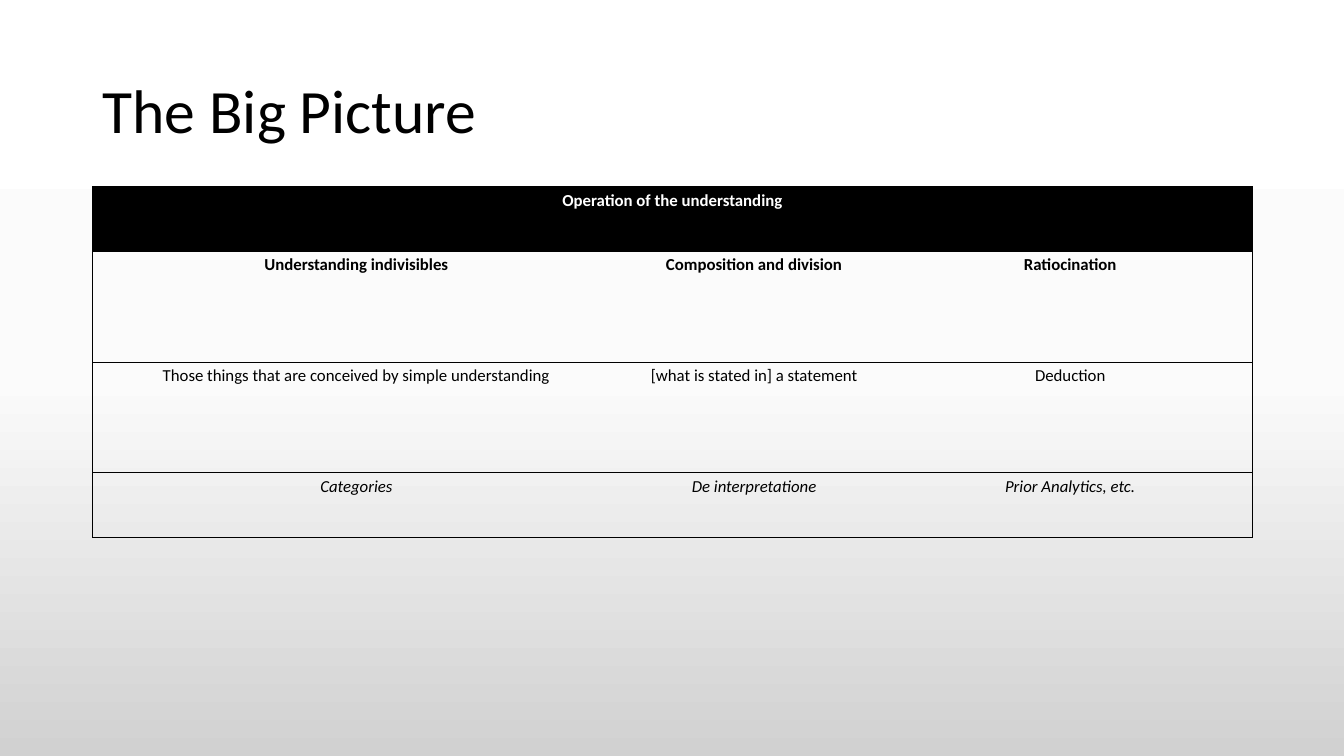
from copy import deepcopy
from dataclasses import dataclass

from lxml.etree import SubElement
from pptx import Presentation
from pptx.dml.color import RGBColor
from pptx.enum.text import MSO_ANCHOR, PP_ALIGN
from pptx.oxml.ns import qn
from pptx.util import Inches, Pt


@dataclass(frozen=True)
class Theme:
    font: str = "Calibri"
    black: str = "000000"
    white: str = "FFFFFF"
    background: tuple = ((0, "FFFFFF"), (0.5, "FBFBFB"), (1, "D1D1D1"))
    title_size: int = 44
    table_size: int = 12
    border_width: float = 0.5


THEME = Theme()
LEFT, CONTENT_WIDTH = 0.92, 11.5
COLUMN_WIDTHS = (5.23, 2.66, 3.61)
ROW_HEIGHTS = (0.64, 1.1, 1.1, 0.64)
CELL_MARGIN = 0.04
NO_TABLE_STYLE = "{2D5ABB26-0587-4C30-8999-92F81FD0307C}"

HEADING = "Operation of the understanding"
BODY_ROWS = (
    (("Understanding indivisibles", "Composition and division", "Ratiocination"),
     {"bold": True}),
    (("Those things that are conceived by simple understanding",
      "[what is stated in] a statement", "Deduction"), {}),
    (("Categories", "De interpretatione", "Prior Analytics, etc."),
     {"italic": True}),
)


def write_text(text_frame, text, *, size=THEME.table_size, color=THEME.black,
               bold=False, italic=False, align=PP_ALIGN.CENTER, line_spacing=1.0):
    text_frame.word_wrap = True
    paragraph = text_frame.paragraphs[0]
    paragraph.alignment = align
    paragraph.line_spacing = line_spacing
    run = paragraph.add_run()
    run.text = text
    font = run.font
    font.name, font.size = THEME.font, Pt(size)
    font.bold, font.italic = bold, italic
    font.color.rgb = RGBColor.from_string(color)


def paint_background(slide):
    fill = slide.background.fill
    fill.gradient()
    fill.gradient_angle = 270
    stop_list = slide.element.xpath(".//p:bg//a:gsLst")[0]
    stop_list.append(deepcopy(stop_list[-1]))
    for stop, (position, color) in zip(fill.gradient_stops, THEME.background):
        stop.position = position
        stop.color.rgb = RGBColor.from_string(color)


def add_title(slide, text):
    box = slide.shapes.add_textbox(
        Inches(LEFT), Inches(0.4), Inches(CONTENT_WIDTH), Inches(1.45))
    box.text_frame.vertical_anchor = MSO_ANCHOR.MIDDLE
    write_text(box.text_frame, text, size=THEME.title_size,
               align=PP_ALIGN.LEFT, line_spacing=0.9)


def set_borders(cell, visible_sides):
    properties = cell._tc.get_or_add_tcPr()
    for side in "LRTB":
        line = SubElement(properties, qn(f"a:ln{side}"),
                          w=str(Pt(THEME.border_width)))
        if side in visible_sides:
            fill = SubElement(line, qn("a:solidFill"))
            SubElement(fill, qn("a:srgbClr"), val=THEME.black)
        else:
            SubElement(line, qn("a:noFill"))


def format_cell(cell, column, fill_color=None):
    cell.margin_left = cell.margin_right = Inches(CELL_MARGIN)
    cell.margin_top = cell.margin_bottom = Inches(CELL_MARGIN)
    sides = "TB"
    if column == 0:
        sides += "L"
    if column == len(COLUMN_WIDTHS) - 1 or cell.is_merge_origin:
        sides += "R"
    set_borders(cell, sides)
    if fill_color:
        cell.fill.solid()
        cell.fill.fore_color.rgb = RGBColor.from_string(fill_color)
    else:
        cell.fill.background()


def add_operations_table(slide):
    frame = slide.shapes.add_table(
        len(ROW_HEIGHTS), len(COLUMN_WIDTHS), Inches(LEFT), Inches(1.85),
        Inches(CONTENT_WIDTH), Inches(sum(ROW_HEIGHTS)))
    table = frame.table
    table.first_row = table.horz_banding = False
    table._tbl.tblPr.find(qn("a:tableStyleId")).text = NO_TABLE_STYLE
    for column, width in zip(table.columns, COLUMN_WIDTHS):
        column.width = Inches(width)
    for row, height in zip(table.rows, ROW_HEIGHTS):
        row.height = Inches(height)

    table.cell(0, 0).merge(table.cell(0, len(COLUMN_WIDTHS) - 1))
    for row_index, row in enumerate(table.rows):
        for column_index, cell in enumerate(row.cells):
            format_cell(cell, column_index, None if row_index else THEME.black)

    write_text(table.cell(0, 0).text_frame, HEADING, color=THEME.white, bold=True)
    for row_index, (texts, style) in enumerate(BODY_ROWS, start=1):
        for column_index, text in enumerate(texts):
            write_text(table.cell(row_index, column_index).text_frame, text, **style)


def main():
    presentation = Presentation()
    presentation.slide_width = Inches(13.33)
    presentation.slide_height = Inches(7.5)
    slide = presentation.slides.add_slide(presentation.slide_layouts[6])
    paint_background(slide)
    add_title(slide, "The Big Picture")
    add_operations_table(slide)
    presentation.save("out.pptx")


if __name__ == "__main__":
    main()
